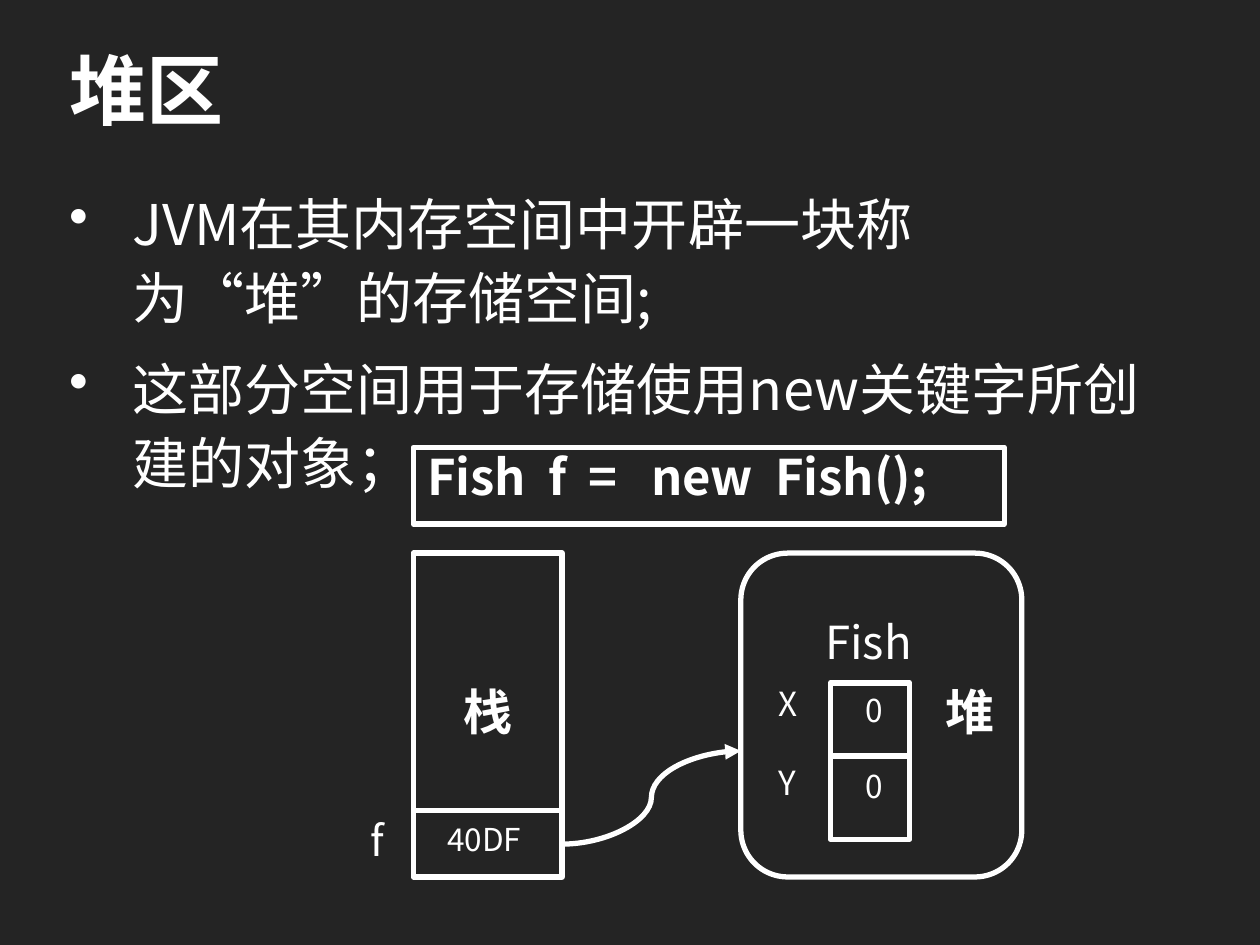
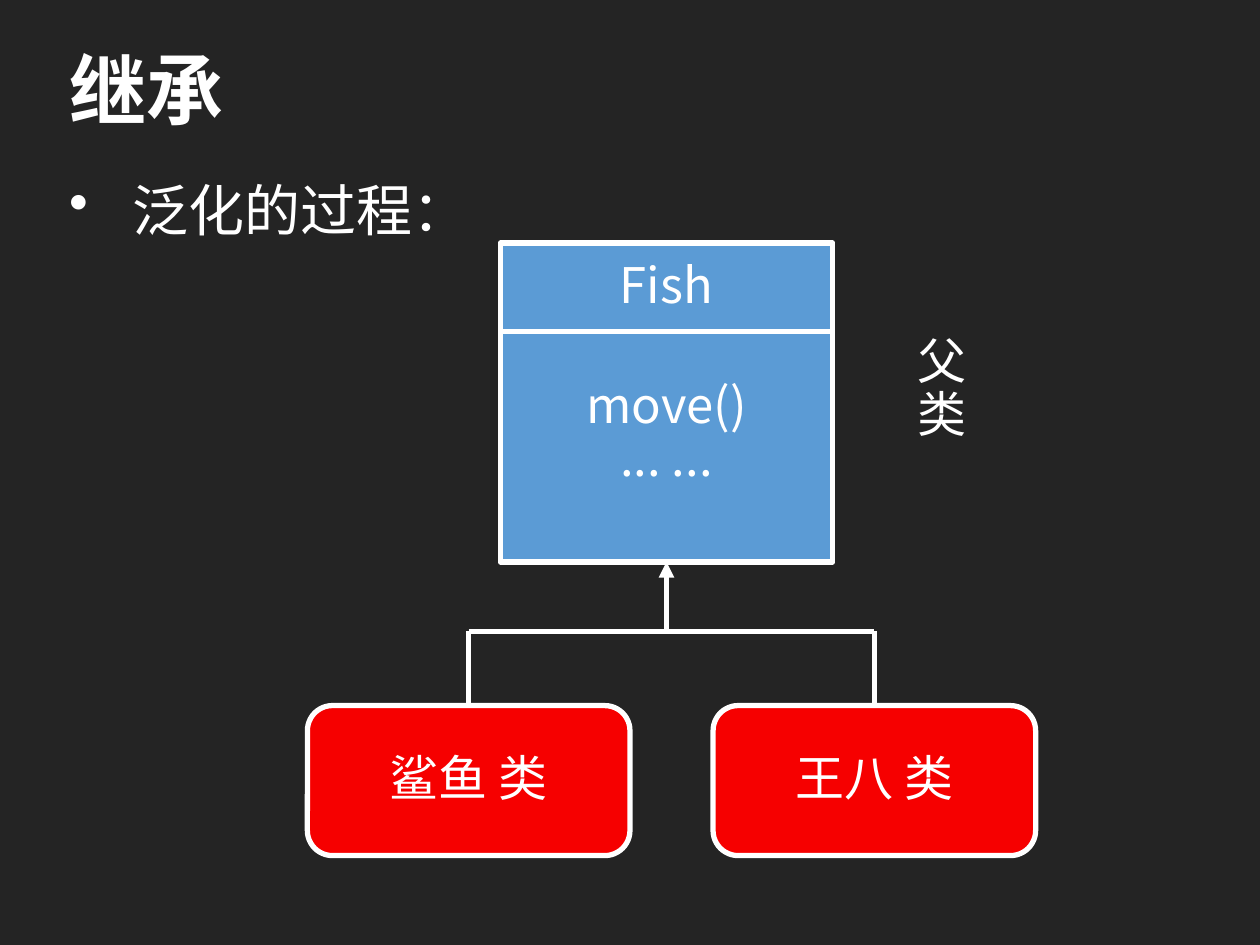
from lxml import etree
from pptx import Presentation
from pptx.dml.color import RGBColor
from pptx.enum.shapes import MSO_CONNECTOR as LINK, MSO_SHAPE as SHAPE
from pptx.enum.text import MSO_ANCHOR as ANCHOR, PP_ALIGN as ALIGN
from pptx.oxml.ns import qn
from pptx.util import Inches, Pt

FONT = "Noto Sans CJK SC"
BACKGROUND, WHITE, BLUE, RED = "242424", "FFFFFF", "5B9BD5", "F60000"
STROKE = 3
INSETS = (0.11, 0.05, 0.11, 0.05)

HEAP = {
    "title": "堆区",
    "points": ["JVM在其内存空间中开辟一块称为“堆”的存储空间;",
               "这部分空间用于存储使用new关键字所创建的对象；"],
    "code": "Fish  f  =   new  Fish();",
    "stack": "栈",
    "heap": "堆",
    "variable": ("f", "40DF"),
    "object": "Fish",
    "fields": [("X", "0"), ("Y", "0")],
}
INHERITANCE = {
    "title": "继承",
    "points": ["泛化的过程："],
    "parent": "Fish",
    "members": ["move()", "... ..."],
    "parent_label": ["父", "类"],
    "children": ["鲨鱼 类", "王八 类"],
}


def color(hex_code):
    return RGBColor.from_string(hex_code)


def write(shape, lines, size, bold=False, align=ALIGN.LEFT, anchor=ANCHOR.TOP,
          insets=INSETS, wrap=True, spacing=0.9, bullet=False):
    frame = shape.text_frame
    frame.word_wrap = wrap
    frame.vertical_anchor = anchor
    (frame.margin_left, frame.margin_top,
     frame.margin_right, frame.margin_bottom) = map(Inches, insets)
    frame.text = "\n".join(lines)
    for paragraph in frame.paragraphs:
        props = paragraph._p.get_or_add_pPr()
        if bullet:
            props.set("marL", str(Inches(0.5)))
            props.set("indent", str(-Inches(0.5)))
            etree.SubElement(props, qn("a:buChar"), char="•")
            paragraph.space_before = Pt(10)
        paragraph.alignment = align
        paragraph.line_spacing = spacing
        font = paragraph.font
        font.name, font.size, font.bold = FONT, Pt(size), bold
        font.color.rgb = color(WHITE)
        etree.SubElement(props.find(qn("a:defRPr")), qn("a:ea"), typeface=FONT)


def add_label(slide, lines, at, size, **style):
    write(slide.shapes.add_textbox(*map(Inches, at)), lines, size, **style)


def add_box(slide, kind, at, fill=None):
    box = slide.shapes.add_shape(kind, *map(Inches, at))
    box.shadow.inherit = False
    if fill:
        box.fill.solid()
        box.fill.fore_color.rgb = color(fill)
    else:
        box.fill.background()
    box.line.color.rgb = color(WHITE)
    box.line.width = Pt(STROKE)
    return box


def add_line(slide, start, end, kind=LINK.STRAIGHT, arrow=False):
    line = slide.shapes.add_connector(kind, *map(Inches, (*start, *end)))
    line.line.color.rgb = color(WHITE)
    line.line.width = Pt(STROKE)
    if arrow:
        etree.SubElement(line.line._get_or_add_ln(), qn("a:tailEnd"), type="triangle")
    etree.SubElement(line._element.spPr, qn("a:effectLst"))
    return line


def add_slide(deck, content, spacing):
    """Add a dark slide with its title and bullet points."""
    slide = deck.slides.add_slide(deck.slide_layouts[6])
    slide.background.fill.solid()
    slide.background.fill.fore_color.rgb = color(BACKGROUND)
    margins = (0.1, 0.05, 0.1, 0.05)
    add_label(slide, [content["title"]], (0.45, 0.23, 9.09, 1.04), 44, bold=True,
              anchor=ANCHOR.MIDDLE, insets=margins)
    add_label(slide, content["points"], (0.45, 1.4, 9.11, 5.55), 32,
              insets=margins, spacing=spacing, bullet=True)
    return slide


def build_heap(deck):
    slide = add_slide(deck, HEAP, 1.1)
    top, height = 4.39, 2.57
    stack_left, stack_width = 3.28, 1.18
    stack_right = stack_left + stack_width
    heap_left = 5.88
    centred = dict(bold=True, anchor=ANCHOR.MIDDLE, wrap=False)

    stack = add_box(slide, SHAPE.FLOWCHART_PROCESS, (stack_left, top, stack_width, height))
    write(stack, [HEAP["stack"]], 28, align=ALIGN.CENTER, **centred)
    heap = add_box(slide, SHAPE.FLOWCHART_ALTERNATE_PROCESS, (heap_left, top, 2.23, height))
    write(heap, [HEAP["heap"]], 28, align=ALIGN.RIGHT, **centred)
    code = add_box(slide, SHAPE.RECTANGLE, (stack_left, 3.55, 4.69, 0.61))
    write(code, [HEAP["code"]], 28, bold=True)

    object_left, object_width = 6.59, 0.63
    add_box(slide, SHAPE.FLOWCHART_PROCESS, (object_left, 5.42, object_width, 1.24))
    add_line(slide, (object_left, 6), (object_left + object_width, 6))
    add_line(slide, (stack_left, 6.43), (stack_right, 6.43))

    variable, address = HEAP["variable"]
    add_label(slide, [variable], (2.83, 6.46, 0.35, 0.54), 24)
    add_label(slide, [address], (3.44, 6.49, 1.01, 0.42), 18)
    add_label(slide, [HEAP["object"]], (6.44, 4.87, 0.99, 0.57), 26)
    for row, (field, value) in enumerate(HEAP["fields"]):
        add_label(slide, [field], (6.07, 5.41 + 0.63 * row, 0.52, 0.44), 19)
        add_label(slide, [value], (6.76, 5.47 + 0.6 * row, 0.5, 0.42), 18)
    add_line(slide, (stack_right, 6.7), (heap_left, 5.96), LINK.CURVE, arrow=True)


def build_inheritance(deck):
    slide = add_slide(deck, INHERITANCE, 0.9)
    left, top, width, height = 3.97, 1.93, 2.64, 2.53
    header = 0.7
    centred = dict(align=ALIGN.CENTER, anchor=ANCHOR.MIDDLE)

    parent = add_box(slide, SHAPE.FLOWCHART_PROCESS, (left, top, width, height), BLUE)
    write(parent, INHERITANCE["members"], 28, insets=(0.11, header, 0.11, 0.2), **centred)
    add_label(slide, [INHERITANCE["parent"]], (left, top, width, header), 28, **centred)
    add_line(slide, (left, top + header), (left + width, top + header))
    add_label(slide, INHERITANCE["parent_label"], (7.17, 2.63, 1.04, 1.07), 28)

    branch_y, child_top = 5.01, 5.6
    child_left, child_width, child_pitch = 2.44, 2.56, 3.22
    centres = []
    for i, name in enumerate(INHERITANCE["children"]):
        x = child_left + child_pitch * i
        centres.append(x + child_width / 2)
        child = add_box(slide, SHAPE.FLOWCHART_ALTERNATE_PROCESS,
                        (x, child_top, child_width, 1.19), RED)
        write(child, [name], 28, wrap=False, **centred)
        stem = add_line(slide, (centres[-1], branch_y), (centres[-1], child_top))
        stem.end_connect(child, 0)
    add_line(slide, (centres[0], branch_y), (centres[-1], branch_y))
    middle = left + width / 2
    trunk = add_line(slide, (middle, branch_y), (middle, top + height), arrow=True)
    trunk.end_connect(parent, 2)


def main():
    deck = Presentation()
    deck.slide_width, deck.slide_height = Inches(10), Inches(7.5)
    build_heap(deck)
    build_inheritance(deck)
    deck.save("out.pptx")


if __name__ == "__main__":
    main()
